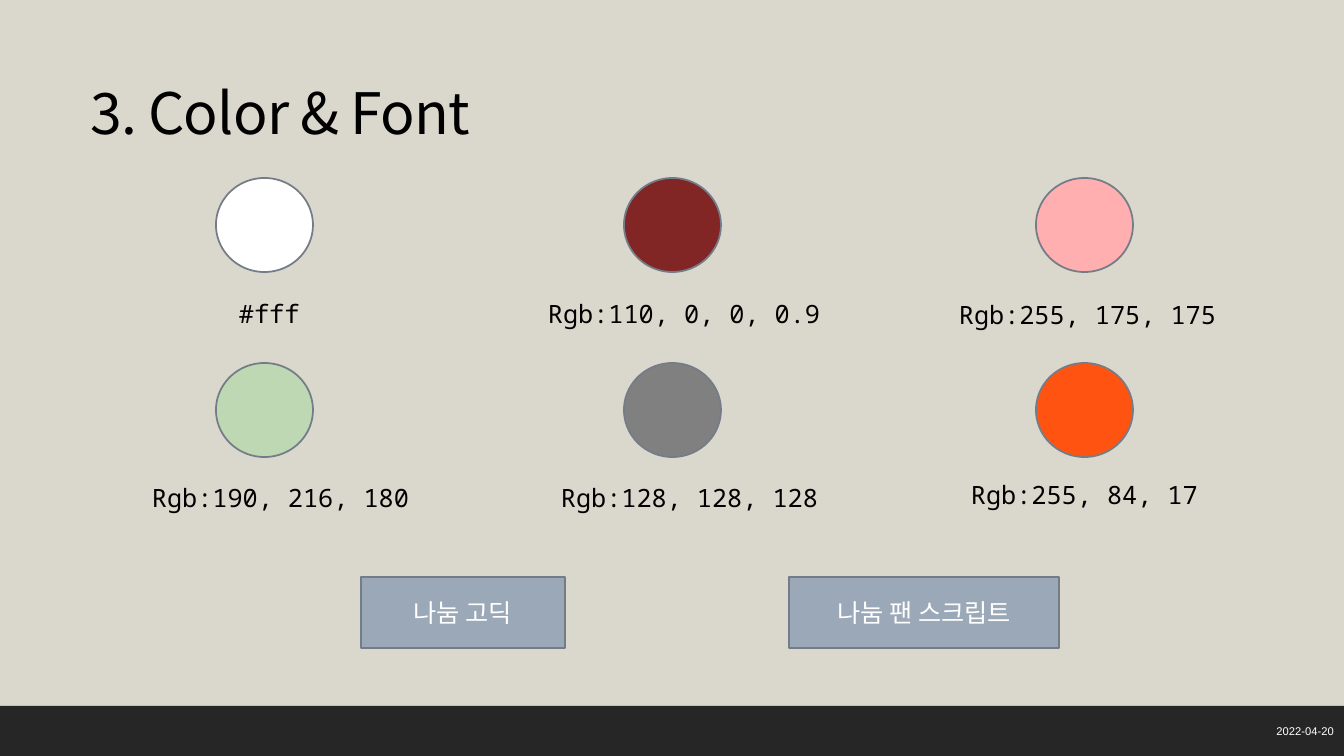
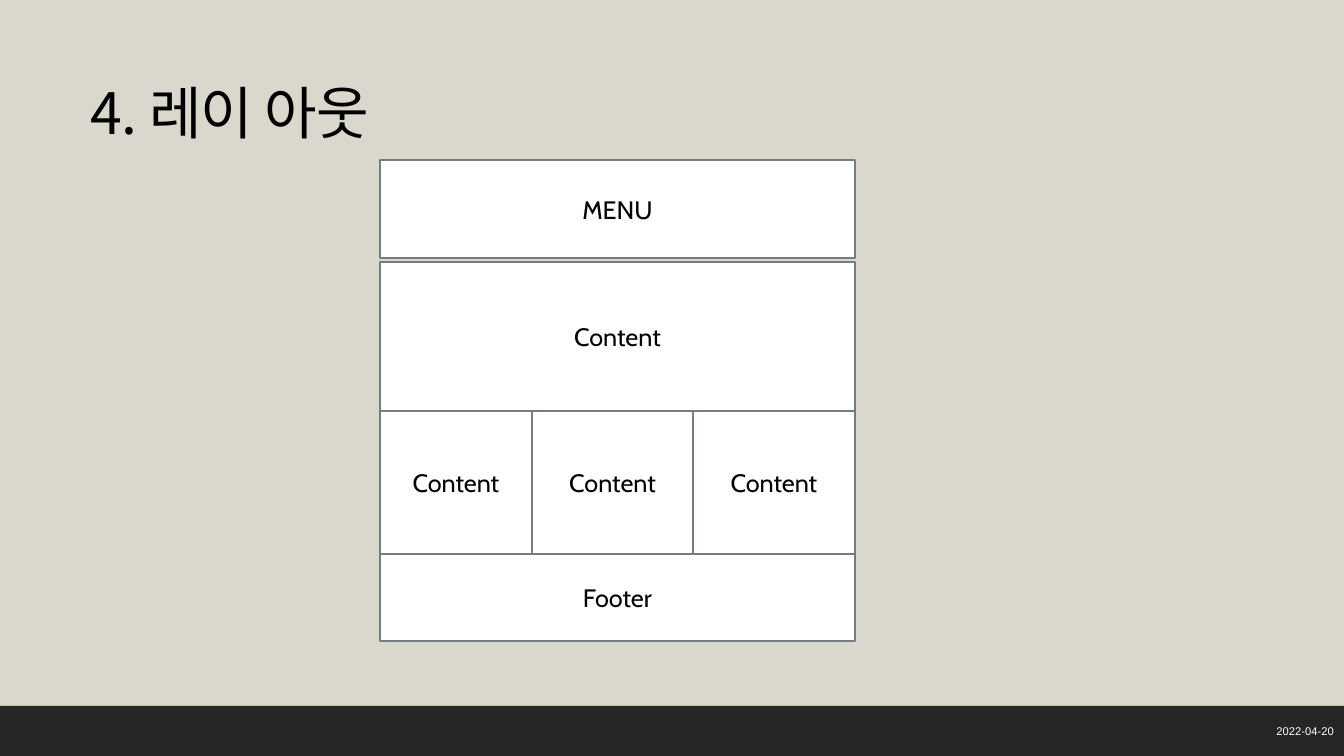
from lxml import etree
from pptx import Presentation
from pptx.dml.color import RGBColor
from pptx.enum.shapes import MSO_SHAPE as SHAPE
from pptx.enum.text import MSO_ANCHOR as ANCHOR, MSO_AUTO_SIZE as AUTO, PP_ALIGN as ALIGN
from pptx.oxml.ns import qn
from pptx.util import Emu, Pt

W, H = 1344, 756
SCALE = 12192000 / W

BEIGE = RGBColor(0xDA, 0xD7, 0xCC)
CHARCOAL = RGBColor(0x26, 0x26, 0x26)
SLATE = RGBColor(0x73, 0x7C, 0x87)
BLUE_GRAY = RGBColor(0x9B, 0xA8, 0xB7)
BLACK = RGBColor(0, 0, 0)
WHITE = RGBColor(255, 255, 255)
MAROON = RGBColor(110, 0, 0)
PINK = RGBColor(255, 175, 175)
GREEN = RGBColor(190, 216, 180)
GRAY = RGBColor(128, 128, 128)
ORANGE = RGBColor(255, 84, 17)

BODY_FONT = "Cabin"
CODE_FONT = "Noto Sans Mono"
DATE_FONT = "Arial"
KOREAN_FONT = "Noto Sans CJK KR"

BAND = (0, 706, W, 50)


def px(*lengths):
    return [Emu(round(n * SCALE)) for n in lengths]


def add_text(tf, text, size, font, color, align=ALIGN.LEFT, anchor=ANCHOR.MIDDLE):
    tf.word_wrap = True
    tf.vertical_anchor = anchor
    p = tf.paragraphs[0]
    p.alignment = align
    r = p.add_run()
    r.text = text
    r.font.size = Pt(size)
    r.font.name = font
    r.font.color.rgb = color
    etree.SubElement(r.font._element, qn("a:ea"), typeface=KOREAN_FONT)
    return r


def add_box(slide, box, fill, line=SLATE, kind=SHAPE.RECTANGLE):
    sp = slide.shapes.add_shape(kind, *px(*box))
    sp.shadow.inherit = False
    sp.fill.solid()
    sp.fill.fore_color.rgb = fill
    if line is None:
        sp.line.fill.background()
    else:
        sp.line.color.rgb = line
        sp.line.width = Pt(1.25)
    return sp


def add_panel(slide, box, text, fill, color):
    sp = add_box(slide, box, fill)
    add_text(sp.text_frame, text, 18, BODY_FONT, color, ALIGN.CENTER)


def add_label(slide, box, *text_style):
    tf = slide.shapes.add_textbox(*px(*box)).text_frame
    add_text(tf, *text_style)


def move_band_to_layout(slide):
    """Draw the bottom band and hand it to the layout, so every slide shows it."""
    band = add_box(slide, BAND, CHARCOAL, None)
    slide.slide_layout.shapes.element.append(band.element)


def add_slide(prs, title):
    slide = prs.slides.add_slide(prs.slide_layouts[5])
    sp = slide.shapes.title
    sp.left, sp.top, sp.width, sp.height = px(80, 51, 485, 94)
    tf = sp.text_frame
    tf.auto_size = AUTO.NONE
    r = add_text(tf, title, 40.8, KOREAN_FONT, BLACK)
    r.font._element.set("spc", "-50")
    tf.paragraphs[0].line_spacing = 1.4
    _, top, _, height = BAND
    add_label(slide, (1059, top, 285, height),
              "2022-04-20", 8, DATE_FONT, WHITE, ALIGN.RIGHT)
    return slide


def add_swatch(slide, box, color, text, label_dx, label_dy, alpha=None):
    """Place a colour disc and its code, offset from the disc's top left."""
    x, y, _, _ = box
    disc = add_box(slide, box, color, kind=SHAPE.OVAL)
    if alpha is not None:
        clr = disc.element.spPr.find(qn("a:solidFill")).find(qn("a:srgbClr"))
        etree.SubElement(clr, qn("a:alpha"), val=str(alpha * 1000))
    add_label(slide, (x + label_dx, y + label_dy, 301, 40),
              text, 18, CODE_FONT, BLACK, ALIGN.LEFT, ANCHOR.TOP)


def add_palette(slide, left, top):
    columns = (0, 408, 820)
    row_pitch = 185
    rows = (
        ((WHITE, "#fff", 13, 115),
         (MAROON, "Rgb:110, 0, 0, 0.9", -86, 115, 82),
         (PINK, "Rgb:255, 175, 175", -87, 116)),
        ((GREEN, "Rgb:190, 216, 180", -74, 114),
         (GRAY, "Rgb:128, 128, 128", -73, 114),
         (ORANGE, "Rgb:255, 84, 17", -75, 111)),
    )
    for i, row in enumerate(rows):
        for dx, swatch in zip(columns, row):
            add_swatch(slide, (left + dx, top + i * row_pitch, 97, 94), *swatch)


def add_font_buttons(slide, top, height):
    for x, width, text in ((361, 204, "나눔 고딕"), (789, 270, "나눔 팬 스크립트")):
        add_panel(slide, (x, top, width, height), text, BLUE_GRAY, WHITE)


def add_wireframe(slide, left, top, width):
    """Stack rows of (gap above, height, cells), each cell (text, width)."""
    rows = (
        (0, 98, [("MENU", width)]),
        (4, 149, [("Content", width)]),
        (0, 143, [("Content", 152), ("Content", 161), ("Content", 162)]),
        (0, 87, [("Footer", width)]),
    )
    y = top
    for gap, height, cells in rows:
        x = left
        y += gap
        for text, cell_width in cells:
            add_panel(slide, (x, y, cell_width, height), text, WHITE, BLACK)
            x += cell_width
        y += height


def main():
    prs = Presentation()
    prs.slide_width, prs.slide_height = px(W, H)
    bg = prs.slide_master.background.fill
    bg.solid()
    bg.fore_color.rgb = BEIGE

    slide = add_slide(prs, "3. Color & Font")
    move_band_to_layout(slide)
    add_palette(slide, 216, 178)
    add_font_buttons(slide, 577, 71)

    slide = add_slide(prs, "4. 레이 아웃")
    add_wireframe(slide, 380, 160, 475)

    prs.save("out.pptx")


if __name__ == "__main__":
    main()
